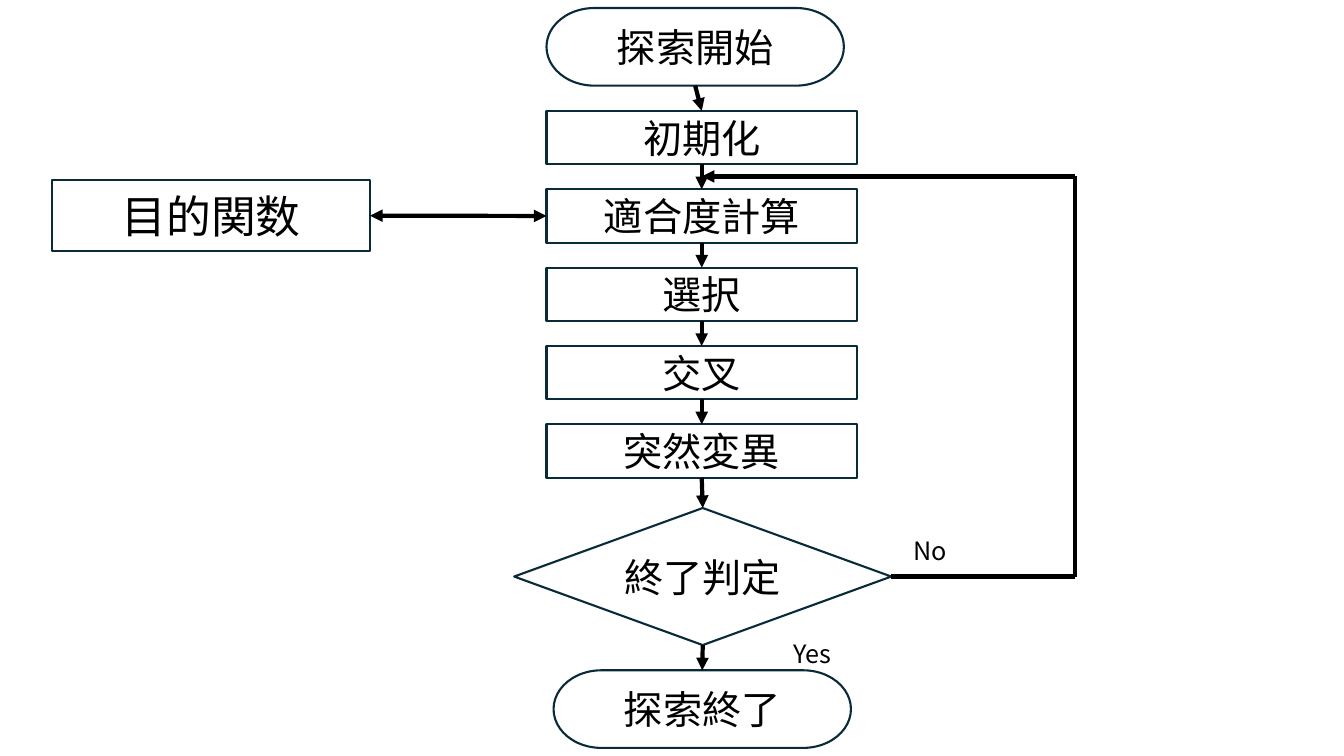
from itertools import pairwise

from pptx import Presentation
from pptx.dml.color import RGBColor
from pptx.enum.shapes import MSO_CONNECTOR, MSO_SHAPE
from pptx.enum.text import MSO_ANCHOR, MSO_AUTO_SIZE, PP_ALIGN
from pptx.oxml.ns import qn
from pptx.util import Inches, Pt

TERMINATOR = MSO_SHAPE.FLOWCHART_TERMINATOR
PROCESS = MSO_SHAPE.FLOWCHART_PROCESS
DECISION = MSO_SHAPE.FLOWCHART_DECISION
STRAIGHT = MSO_CONNECTOR.STRAIGHT
CENTER = PP_ALIGN.CENTER
MIDDLE = MSO_ANCHOR.MIDDLE
GROW = MSO_AUTO_SIZE.SHAPE_TO_FIT_TEXT
TOP, LEFT, BOTTOM, RIGHT = range(4)


def color(value):
    return RGBColor.from_string(value)


class Flowchart:
    """Draws flowchart elements in one style on one page."""

    font = "Noto Sans CJK JP"
    ink = "000000"
    outline = "092A39"

    def __init__(self, page):
        self.page = page

    def set_text(self, frame, text, size):
        paragraph = frame.paragraphs[0]
        paragraph.text = text
        paragraph.font.size = Pt(size)
        paragraph.font.name = self.font
        paragraph.font.color.rgb = color(self.ink)
        defaults = paragraph._p.pPr.find(qn("a:defRPr"))
        east_asian = defaults.makeelement(qn("a:ea"), {"typeface": self.font})
        defaults.append(east_asian)
        return paragraph

    def node(self, kind, text, left, top, width, height, size=28):
        box = self.page.shapes.add_shape(
            kind, Inches(left), Inches(top), Inches(width), Inches(height))
        box.shadow.inherit = False
        box.fill.background()
        box.line.color.rgb = color(self.outline)
        box.line.width = Pt(1.5)
        box.text_frame.vertical_anchor = MIDDLE
        self.set_text(box.text_frame, text, size).alignment = CENTER
        return box

    def label(self, text, left, top):
        box = self.page.shapes.add_textbox(
            Inches(left), Inches(top), Inches(1.33), Inches(0.4))
        box.text_frame.word_wrap = True
        box.text_frame.auto_size = GROW
        self.set_text(box.text_frame, text, 18)

    def line(self, start, end, arrows=()):
        connector = self.page.shapes.add_connector(
            STRAIGHT, *(Inches(value) for value in (*start, *end)))
        connector.line.color.rgb = color(self.ink)
        connector.line.width = Pt(3)
        outline = connector.line._get_or_add_ln()
        for arrow in arrows:
            outline.append(outline.makeelement(qn(f"a:{arrow}"), {"type": "triangle"}))
        properties = connector._element.spPr
        properties.append(properties.makeelement(qn("a:effectLst"), {}))
        return connector

    def join(self, source, source_site, target, target_site, arrows=("tailEnd",)):
        connector = self.line((0, 0), (0, 0), arrows)
        connector.begin_connect(source, source_site)
        connector.end_connect(target, target_site)


def main():
    deck = Presentation()
    deck.slide_width = Inches(13.33)
    deck.slide_height = Inches(7.5)
    chart = Flowchart(deck.slides.add_slide(deck.slide_layouts[6]))

    first_top, last_top = 1.1, 4.21
    names = ["初期化", "適合度計算", "選択", "交叉", "突然変異"]
    pitch = (last_top - first_top) / (len(names) - 1)
    start = chart.node(TERMINATOR, "探索開始", 5.42, 0.08, 2.95, 0.77)
    steps = [chart.node(PROCESS, name, 5.42, first_top + index * pitch, 3.08, 0.53)
             for index, name in enumerate(names)]
    decision = chart.node(DECISION, "終了判定", 5.1, 5.04, 3.74, 1.36)
    finish = chart.node(TERMINATOR, "探索終了", 5.49, 6.65, 2.95, 0.77)
    for upper, lower in pairwise([start, *steps, decision, finish]):
        chart.join(upper, BOTTOM, lower, TOP)

    loop_right, loop_top, loop_bottom = 10.66, 1.75, 5.72
    exit_line = chart.line((8.84, loop_bottom), (loop_right, loop_bottom))
    exit_line.begin_connect(decision, RIGHT)
    chart.line((loop_right, loop_top), (loop_right, loop_bottom))
    chart.line((loop_right, loop_top), (6.96, loop_top), ["tailEnd"])
    chart.label("No", 8.96, 5.26)
    chart.label("Yes", 7.77, 6.28)

    objective = chart.node(PROCESS, "目的関数", 0.52, 1.79, 3.15, 0.7, size=32)
    chart.join(objective, RIGHT, steps[1], LEFT, ["headEnd", "tailEnd"])
    deck.save("out.pptx")


if __name__ == "__main__":
    main()
